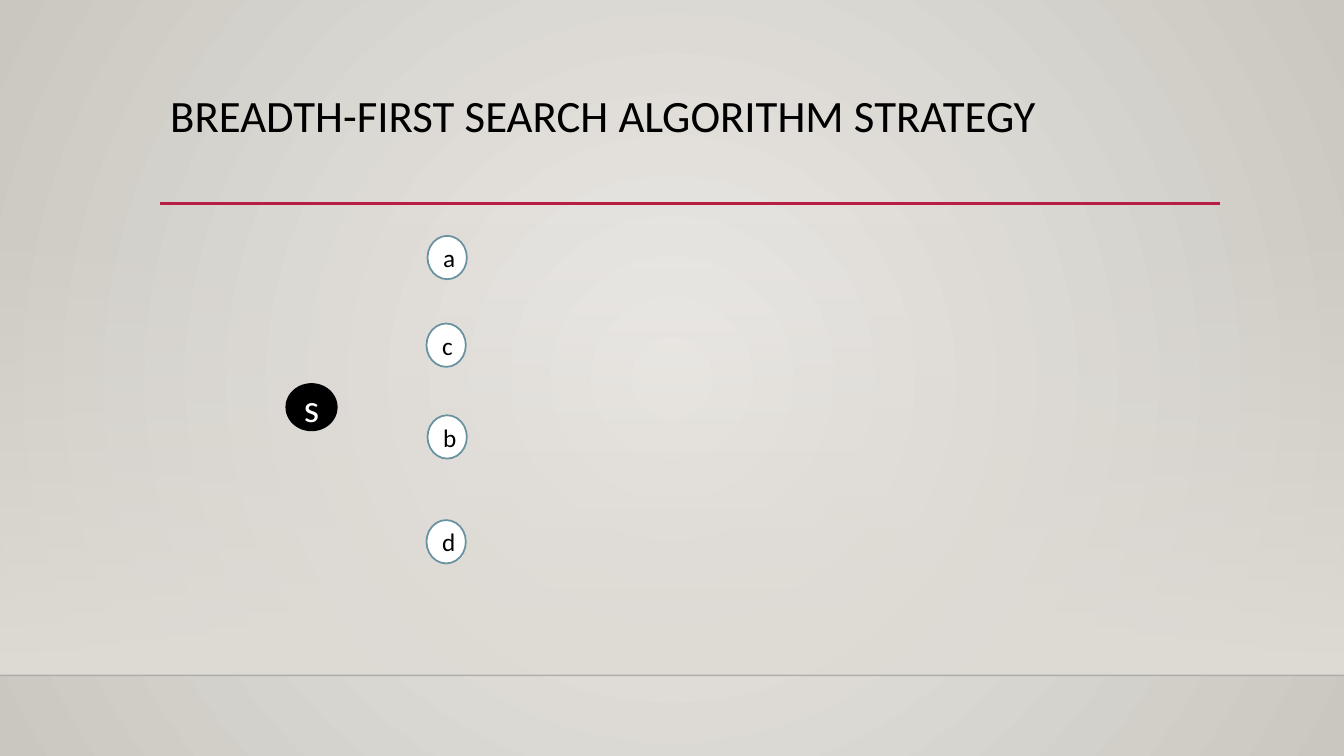
from pptx import Presentation
from pptx.dml.color import RGBColor
from pptx.enum.shapes import MSO_CONNECTOR, MSO_SHAPE
from pptx.enum.text import MSO_ANCHOR, PP_ALIGN
from pptx.oxml.ns import qn
from pptx.util import Emu, Pt
from lxml import etree

OVAL, RECTANGLE = MSO_SHAPE.OVAL, MSO_SHAPE.RECTANGLE
STRAIGHT = MSO_CONNECTOR.STRAIGHT
TOP, MIDDLE = MSO_ANCHOR.TOP, MSO_ANCHOR.MIDDLE
LEFT, CENTER = PP_ALIGN.LEFT, PP_ALIGN.CENTER

EMU_PER_PX = 9144  # 100 px to the inch
SLIDE_WIDTH, SLIDE_HEIGHT = 1333, 750
FLOOR_TOP = 670
FONT = "Calibri"
COLORS = {
    "glow": "ECEAE7",
    "edge": "CAC7C1",
    "wall": "DFDBD5",
    "floor_line": "000001",
    "accent": "B71E42",
    "black": "000000",
    "white": "FFFFFF",
    "node_line": "6892A0",
}
# Letter, left and top of each neighbour of the start node
NEIGHBOURS = [("a", 424, 234), ("c", 423, 321), ("b", 424, 412), ("d", 423, 516)]


def px(length):
    return Emu(length * EMU_PER_PX)


def color(name):
    return RGBColor.from_string(COLORS[name])


def set_alpha(parent, percent):
    rgb = next(parent.iter(qn("a:srgbClr")))
    etree.SubElement(rgb, qn("a:alpha")).set("val", str(percent * 1000))


def fill_gradient(fill, first, last):
    fill.gradient()
    for stop, name in zip(fill.gradient_stops, (first, last)):
        stop.color.rgb = color(name)
    fill.gradient_stops[0].position = 0
    fill.gradient_stops[1].position = 1


def add_background(slide):
    fill_gradient(slide.background.fill, "glow", "edge")
    gradient = next(slide.element.iter(qn("a:gradFill")))
    gradient.remove(gradient.find(qn("a:lin")))
    circle = etree.SubElement(gradient, qn("a:path"))
    circle.set("path", "circle")
    center = etree.SubElement(circle, qn("a:fillToRect"))
    for side in "ltrb":
        center.set(side, "50000")


def add_wall(slide, top, bottom):
    wall = slide.shapes.add_shape(
        RECTANGLE, 0, px(top), px(SLIDE_WIDTH), px(bottom - top))
    wall.shadow.inherit = False
    wall.line.fill.background()
    fill_gradient(wall.fill, "wall", "wall")
    wall.fill.gradient_angle = 270
    set_alpha(next(wall.element.iter(qn("a:gs"))), 0)


def add_rule(slide, left, right, y, name, width, opacity=100):
    rule = slide.shapes.add_connector(STRAIGHT, px(left), px(y), px(right), px(y))
    rule.line.color.rgb = color(name)
    rule.line.width = Pt(width)
    properties = rule.element.spPr
    etree.SubElement(properties, qn("a:effectLst"))
    if opacity < 100:
        set_alpha(properties, opacity)


def write_text(shape, text, size, name, anchor, alignment):
    frame = shape.text_frame
    frame.word_wrap = True
    frame.vertical_anchor = anchor
    paragraph = frame.paragraphs[0]
    paragraph.alignment = alignment
    run = paragraph.add_run()
    run.text = text
    run.font.name = FONT
    run.font.size = Pt(size)
    run.font.color.rgb = color(name)
    return paragraph


def add_title(slide, text):
    title = slide.shapes.add_textbox(px(159), px(88), px(1050), px(115))
    paragraph = write_text(title, text, 32, "black", TOP, LEFT)
    paragraph.line_spacing = 0.9


def add_node(slide, letter, left, top, width=39, height=43, size=18,
             fill="white", line="node_line", text="black"):
    node = slide.shapes.add_shape(OVAL, px(left), px(top), px(width), px(height))
    node.shadow.inherit = False
    node.fill.solid()
    node.fill.fore_color.rgb = color(fill)
    node.line.color.rgb = color(line)
    node.line.width = Pt(1.25)
    write_text(node, letter, size, text, MIDDLE, CENTER)


def main():
    presentation = Presentation()
    presentation.slide_width = px(SLIDE_WIDTH)
    presentation.slide_height = px(SLIDE_HEIGHT)
    slide = presentation.slides.add_slide(presentation.slide_layouts[6])

    # Backdrop: wall fading into the floor edge
    add_background(slide)
    add_wall(slide, 221, FLOOR_TOP)
    add_rule(slide, 0, SLIDE_WIDTH, FLOOR_TOP, "floor_line", 1, opacity=20)

    # Heading
    add_rule(slide, 159, 1210, 202, "accent", 2.5)
    add_title(slide, "BREADTH-FIRST SEARCH ALGORITHM STRATEGY")

    # Start node and its neighbours
    add_node(slide, "s", 284, 381, 50, 46, 28, "black", "black", "white")
    for letter, left, top in NEIGHBOURS:
        add_node(slide, letter, left, top)

    presentation.save("out.pptx")


if __name__ == "__main__":
    main()
